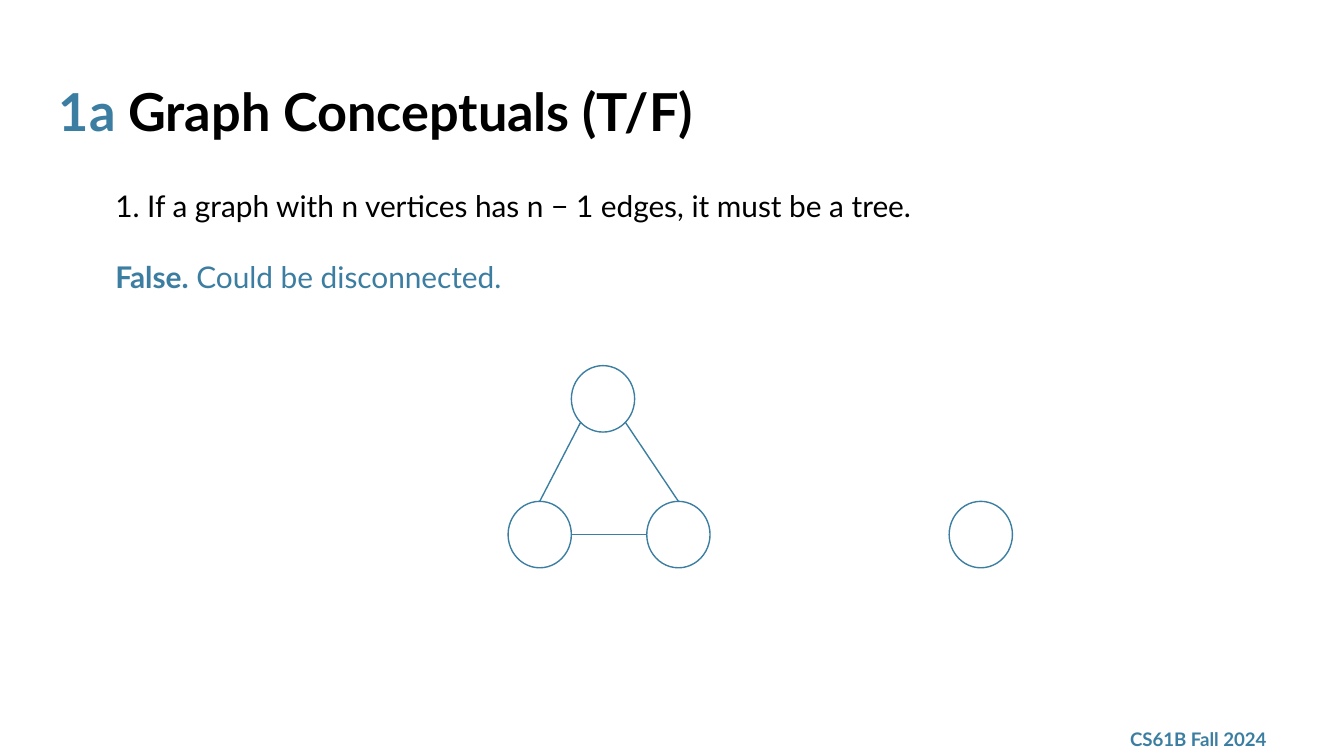
from math import cos, radians, sin

from lxml import etree
from pptx import Presentation
from pptx.dml.color import RGBColor
from pptx.enum.shapes import MSO_CONNECTOR, MSO_SHAPE
from pptx.enum.text import MSO_ANCHOR
from pptx.oxml.ns import qn
from pptx.util import Pt

BLUE = RGBColor(0x3B, 0x7E, 0xA1)
BLACK = RGBColor(0, 0, 0)
FONT = "Lato"
INSET = 7.2
LINE_WIDTH = 0.75
TOP, MIDDLE = MSO_ANCHOR.TOP, MSO_ANCHOR.MIDDLE
OVAL, STRAIGHT = MSO_SHAPE.OVAL, MSO_CONNECTOR.STRAIGHT

# Runs are (text, colour, bold); boxes are left, top, width, height
TITLE = [[("1a", BLUE, True), (" Graph Conceptuals (T/F)", BLACK, True)]]
BODY = [
    [("1. If a graph with n vertices has n − 1 edges, it must be a tree.", BLACK, False)],
    [("False.", BLUE, True), (" Could be disconnected.", BLUE, False)],
]
FOOTER = [[("CS61B Fall 2024", BLUE, True)]]

TEXTS = [
    (FOOTER, (598.3, 386.6, 97.2, 18.7), 10, MIDDLE, 1, 0),
    (TITLE, (24.5, 35.3, 671, 45.4), 28, TOP, 1, 0),
    (BODY, (54.7, 90.7, 592.6, 83.5), 16, TOP, 1.15, 16),
]

NODE_WIDTH, NODE_HEIGHT = 33.9, 35.6
BASE_TOP = 268.6
NODES = {
    "apex": (306.1, 195.9),
    "left": (272.2, BASE_TOP),
    "right": (346.5, BASE_TOP),
    "isolated": (508.5, BASE_TOP),
}
# Each edge end is (node, angle on its outline in degrees, clockwise from the right)
EDGES = [
    (("left", 270), ("apex", 135)),
    (("apex", 45), ("right", 270)),
    (("left", 0), ("right", 180)),
]


def add_text(slide, paragraphs, box, size, anchor, line_spacing, gap):
    frame = slide.shapes.add_textbox(*map(Pt, box)).text_frame
    frame.word_wrap = True
    frame.vertical_anchor = anchor
    frame.margin_left = frame.margin_right = Pt(INSET)
    frame.margin_top = frame.margin_bottom = Pt(INSET)
    for index, runs in enumerate(paragraphs):
        paragraph = frame.add_paragraph() if index else frame.paragraphs[0]
        paragraph.line_spacing = line_spacing
        if index:
            paragraph.space_before = Pt(gap)
        for text, colour, bold in runs:
            run = paragraph.add_run()
            run.text = text
            run.font.name = FONT
            run.font.size = Pt(size)
            run.font.bold = bold
            run.font.color.rgb = colour


def style_line(shape):
    shape.line.color.rgb = BLUE
    shape.line.width = Pt(LINE_WIDTH)


def add_node(slide, left, top):
    node = slide.shapes.add_shape(OVAL, Pt(left), Pt(top), Pt(NODE_WIDTH), Pt(NODE_HEIGHT))
    node.shadow.inherit = False
    node.fill.background()
    style_line(node)


def outline_point(name, angle):
    left, top = NODES[name]
    x = left + NODE_WIDTH / 2 * (1 + cos(radians(angle)))
    y = top + NODE_HEIGHT / 2 * (1 + sin(radians(angle)))
    return Pt(x), Pt(y)


def add_edge(slide, start, end):
    edge = slide.shapes.add_connector(STRAIGHT, *outline_point(*start), *outline_point(*end))
    style_line(edge)
    etree.SubElement(edge._element.spPr, qn("a:effectLst"))


def main():
    presentation = Presentation()
    presentation.slide_width, presentation.slide_height = Pt(720), Pt(405)
    slide = presentation.slides.add_slide(presentation.slide_layouts[6])
    for text in TEXTS:
        add_text(slide, *text)
    for position in NODES.values():
        add_node(slide, *position)
    for start, end in EDGES:
        add_edge(slide, start, end)
    presentation.save("out.pptx")


if __name__ == "__main__":
    main()
